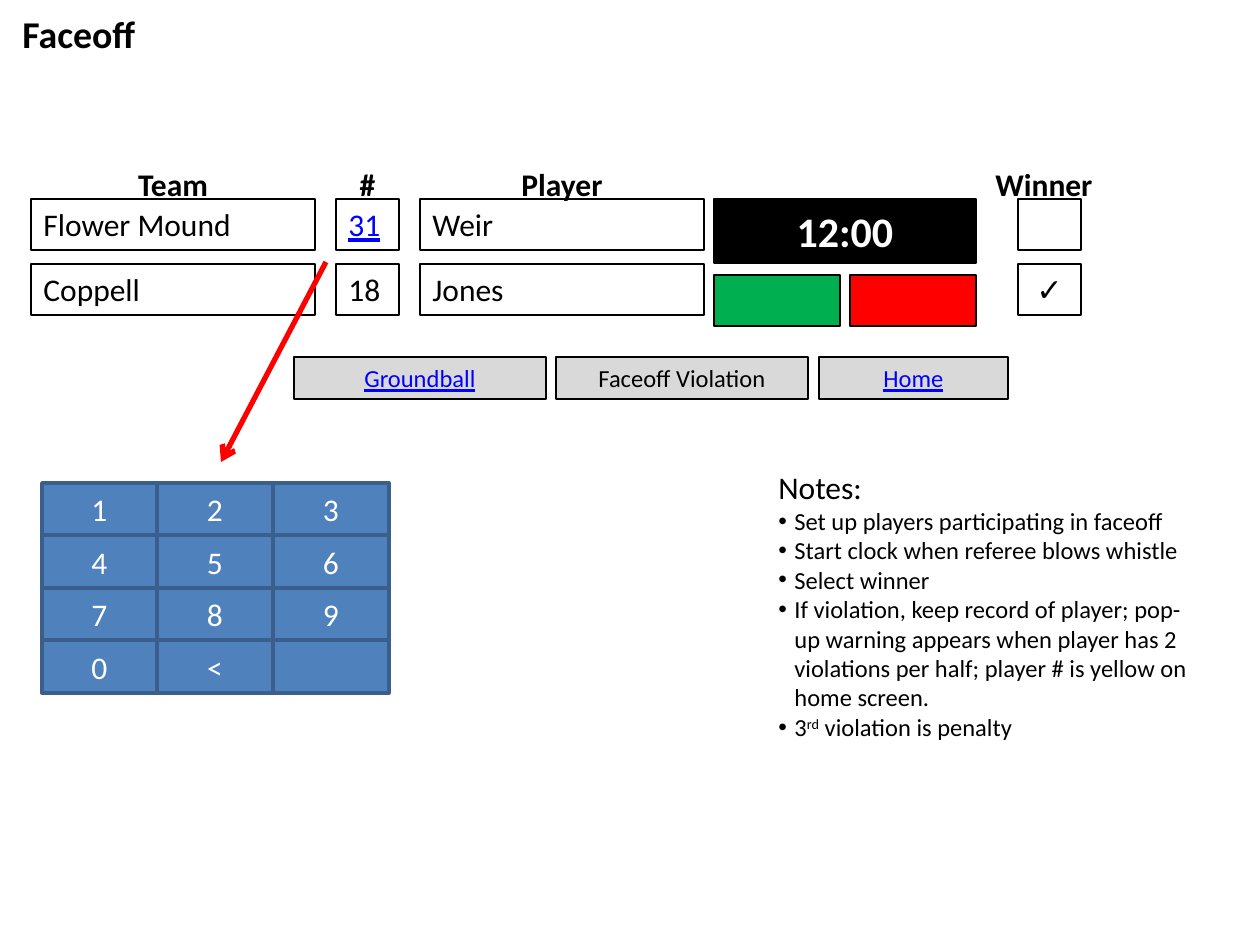
from dataclasses import dataclass
from typing import Optional

from lxml import etree
from pptx import Presentation
from pptx import util as u
from pptx.dml.color import RGBColor
from pptx.enum import shapes, text
from pptx.oxml.ns import qn

PX_PER_INCH = 126
FONT = "Calibri"
BLACK, WHITE, RED, LINK = "000000", "FFFFFF", "FF0000", "0000FF"
GREEN, GREY, KEY_FILL, KEY_LINE = "00B050", "D9D9D9", "4F81BD", "3A5F8C"
LEFT, CENTER = text.PP_ALIGN.LEFT, text.PP_ALIGN.CENTER
TOP, MIDDLE = text.MSO_ANCHOR.TOP, text.MSO_ANCHOR.MIDDLE


@dataclass(frozen=True)
class Style:
    size: float = 18
    color: str = BLACK
    bold: bool = False
    underline: bool = False
    align: text.PP_ALIGN = LEFT
    anchor: text.MSO_ANCHOR = TOP


@dataclass(frozen=True)
class Box:
    x: int
    y: int
    w: int
    h: int
    label: str = ""
    style: Style = Style()
    fill: Optional[str] = None
    line: str = BLACK
    weight: float = 0.75


@dataclass(frozen=True)
class Column:
    heading: str
    x: int
    w: int
    entries: tuple
    styles: tuple
    heading_x: int
    heading_w: int


def px(length: int) -> int:
    return round(length * u.Inches(1) / PX_PER_INCH)


def rgb(color: str) -> RGBColor:
    return RGBColor.from_string(color)


def add_run(paragraph, label: str, style: Style):
    run = paragraph.add_run()
    run.text = label
    run.font.name = FONT
    run.font.size = u.Pt(style.size)
    run.font.bold = style.bold
    run.font.underline = style.underline
    run.font.color.rgb = rgb(style.color)
    return run


def write(shape, label: str, style: Style):
    frame = shape.text_frame
    frame.word_wrap = True
    frame.vertical_anchor = style.anchor
    paragraph = frame.paragraphs[0]
    paragraph.alignment = style.align
    if label:
        add_run(paragraph, label, style)
    return frame


def draw_box(slide, box: Box) -> None:
    shape = slide.shapes.add_shape(
        shapes.MSO_SHAPE.RECTANGLE, px(box.x), px(box.y), px(box.w), px(box.h))
    shape.shadow.inherit = False
    if box.fill:
        shape.fill.solid()
        shape.fill.fore_color.rgb = rgb(box.fill)
    else:
        shape.fill.background()
    shape.line.color.rgb = rgb(box.line)
    shape.line.width = u.Pt(box.weight)
    write(shape, box.label, box.style)


def draw_text(slide, x: int, y: int, w: int, h: int, label: str, style: Style):
    return write(slide.shapes.add_textbox(px(x), px(y), px(w), px(h)), label, style)


def draw_arrow(slide, x1: int, y1: int, x2: int, y2: int) -> None:
    arrow = slide.shapes.add_connector(
        shapes.MSO_CONNECTOR.STRAIGHT, px(x1), px(y1), px(x2), px(y2))
    arrow.line.color.rgb = rgb(RED)
    arrow.line.width = u.Pt(3)
    etree.SubElement(arrow.line._get_or_add_ln(), qn("a:tailEnd"), type="arrow")
    etree.SubElement(arrow._element.spPr, qn("a:effectLst"))


def add_bullet(frame, runs: tuple, style: Style) -> None:
    paragraph = frame.add_paragraph()
    props = paragraph._p.get_or_add_pPr()
    props.set("marL", str(px(16)))
    props.set("indent", str(-px(16)))
    etree.SubElement(props, qn("a:buFont"), typeface="Arial")
    etree.SubElement(props, qn("a:buChar"), char="•")
    for label, baseline in runs:
        run = add_run(paragraph, label, style)
        if baseline:
            run._r.get_or_add_rPr().set("baseline", str(baseline * 1000))


ENTRY = Style()
ENTRY_LINK = Style(color=LINK, underline=True)
MARK = Style(align=CENTER)
HEADING = Style(bold=True, align=CENTER)
CLOCK = Style(size=24, color=WHITE, bold=True, align=CENTER)
ACTION = Style(size=14, align=CENTER)
ACTION_LINK = Style(size=14, color=LINK, underline=True, align=CENTER)
KEY = Style(color=WHITE, align=CENTER, anchor=MIDDLE)

ROW_TOP, ROW_PITCH, ROW_HEIGHT = 199, 65, 51
COLUMNS = (
    Column("Team", 31, 284, ("Flower Mound", "Coppell"), (ENTRY, ENTRY), 31, 284),
    Column("#", 336, 63, ("31", "18"), (ENTRY_LINK, ENTRY), 336, 63),
    Column("Player", 420, 284, ("Weir", "Jones"), (ENTRY, ENTRY), 420, 284),
    Column("Winner", 1018, 63, ("", "✓"), (MARK, MARK), 976, 136),
)
CLOCK_BOXES = (
    Box(714, ROW_TOP, 262, 64, "12:00", CLOCK, BLACK),
    Box(714, 275, 126, ROW_HEIGHT, fill=GREEN),
    Box(850, 275, 126, ROW_HEIGHT, fill=RED),
)
ACTIONS = (
    Box(294, 357, 252, 42, "Groundball", ACTION_LINK, GREY),
    Box(556, 357, 252, 42, "Faceoff Violation", ACTION, GREY),
    Box(819, 357, 189, 42, "Home", ACTION_LINK, GREY),
)
KEYPAD = ("1", "2", "3", "4", "5", "6", "7", "8", "9", "0", "<", "")
KEYPAD_X, KEYPAD_Y, KEYPAD_W, KEYPAD_H = 42, 483, 347, 210
NOTES = (
    (("Set up players participating in faceoff", 0),),
    (("Start clock when referee blows whistle", 0),),
    (("Select winner", 0),),
    (("If violation, keep record of player; pop-up warning appears when player "
      "has 2 violations per half; player # is yellow on home screen.", 0),),
    (("3", 0), ("rd", 30), (" violation is penalty", 0)),
)


def main() -> None:
    deck = Presentation()
    deck.slide_width, deck.slide_height = u.Inches(10), u.Inches(7.5)
    slide = deck.slides.add_slide(deck.slide_layouts[6])

    draw_text(slide, 10, 10, 1134, 47, "Faceoff",
              Style(size=21.6, bold=True, anchor=MIDDLE))

    for column in COLUMNS:
        draw_text(slide, column.heading_x, 159, column.heading_w, ROW_HEIGHT,
                  column.heading, HEADING)
        for row, (entry, style) in enumerate(zip(column.entries, column.styles)):
            draw_box(slide, Box(column.x, ROW_TOP + row * ROW_PITCH, column.w,
                                ROW_HEIGHT, entry, style))

    for box in CLOCK_BOXES + ACTIONS:
        draw_box(slide, box)

    for index, key in enumerate(KEYPAD):
        row, col = divmod(index, 3)
        left, right = (KEYPAD_X + KEYPAD_W * n // 3 for n in (col, col + 1))
        top, bottom = (KEYPAD_Y + KEYPAD_H * n // 4 for n in (row, row + 1))
        draw_box(slide, Box(left, top, right - left, bottom - top, key, KEY,
                            KEY_FILL, KEY_LINE, 2))

    draw_arrow(slide, 326, 262, 221, 462)

    notes = draw_text(slide, 766, 462, 441, 318, "Notes:", ENTRY)
    for runs in NOTES:
        add_bullet(notes, runs, Style(size=14))

    deck.save("out.pptx")


if __name__ == "__main__":
    main()
